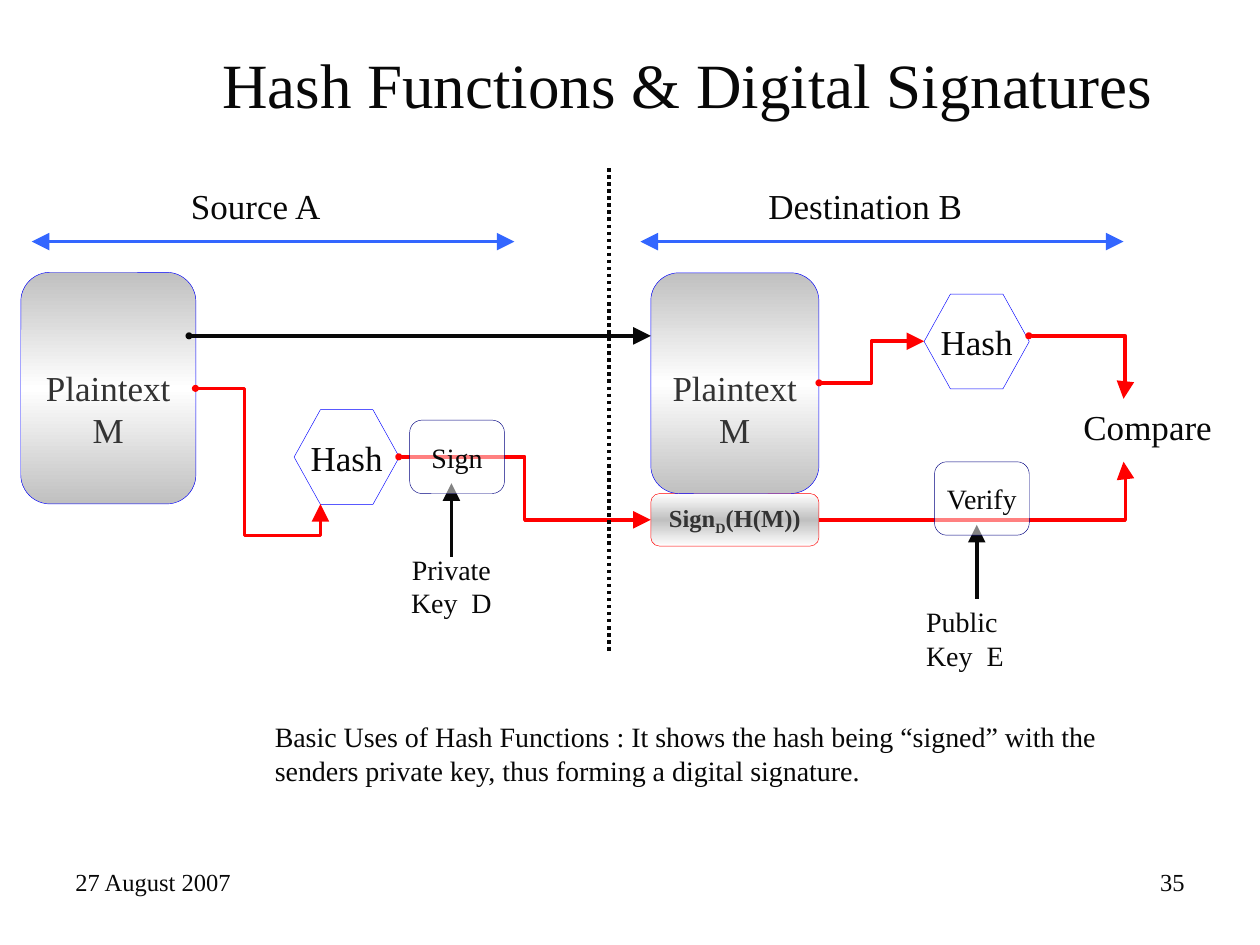
"""Build a slide showing how a hash is signed and verified."""
from copy import deepcopy
from typing import NamedTuple, Optional

from pptx import Presentation
from pptx.dml.color import RGBColor
from pptx.enum.dml import MSO_LINE
from pptx.enum.shapes import MSO_CONNECTOR as Connector, MSO_SHAPE as Preset
from pptx.enum.text import MSO_ANCHOR as Anchor, PP_ALIGN as Align
from pptx.oxml.ns import qn
from pptx.oxml.xmlchemy import OxmlElement
from pptx.util import Cm, Pt

FONT = "Times New Roman"
COLORS = {
    "ink": "080808",
    "dark_gray": "333333",
    "silver": "C0C0C0",
    "white": "FFFFFF",
    "red": "FF0000",
    "blue": "0000FF",
    "navy": "000080",
    "sky": "3366FF",
}


class Label(NamedTuple):
    text: str
    left: float
    top: float
    width: float
    height: float
    size: int
    align: Align = Align.LEFT
    anchor: Anchor = Anchor.TOP


class Node(NamedTuple):
    lines: list
    left: float
    top: float
    width: float
    height: float
    outline: str
    size: int
    preset: Preset = Preset.ROUNDED_RECTANGLE
    adjustment: float = 0.167
    gradient: Optional[tuple] = None
    translucent: bool = False
    anchor: Anchor = Anchor.MIDDLE
    top_inset: float = 0.13
    color: str = "ink"
    bold: bool = False
    wrap: bool = False


class Arrow(NamedTuple):
    start: tuple
    end: tuple
    color: str
    head: Optional[str] = None
    tail: Optional[str] = "triangle"
    bends: tuple = ()
    dotted: bool = False


def plaintext(left: float, top: float, width: float, height: float) -> Node:
    """Describe one plaintext block."""
    return Node(["Plaintext", "M"], left, top, width, height, "blue", 20,
                gradient=("silver", "white"), anchor=Anchor.TOP,
                top_inset=1.73, color="dark_gray", wrap=True)


def hexagon(left: float, top: float) -> Node:
    """Describe one hash step."""
    return Node(["Hash"], left, top, 2.12, 1.91, "blue", 20, Preset.HEXAGON, 0.278)


def key_step(text: str, left: float, top: float) -> Node:
    """Describe one step that uses a key."""
    return Node([text], left, top, 1.91, 1.48, "navy", 16, translucent=True)


BLOCKS = [
    Node([[("Sign", False), ("D", True), ("(H(M))", False)]],
         13.12, 9.95, 3.39, 1.06, "red", 14, gradient=("white", "silver"),
         anchor=Anchor.TOP, color="dark_gray", bold=True, wrap=True),
    plaintext(0.42, 5.49, 3.53, 4.67),
    plaintext(13.12, 5.5, 3.39, 4.45),
    hexagon(5.93, 8.26),
    hexagon(18.63, 5.93),
]
KEY_STEPS = [key_step("Sign", 8.26, 8.47), key_step("Verify", 18.84, 9.31)]
ARROWS = [
    Arrow((0.64, 4.87), (10.37, 4.87), "sky", "triangle"),
    Arrow((12.91, 4.87), (22.65, 4.87), "sky", "triangle"),
    Arrow((3.81, 6.77), (13.12, 6.77), "ink", "oval"),
    Arrow((3.94, 7.83), (6.46, 10.16), "red", "oval", bends=(0.394, 1.272)),
    Arrow((8.04, 9.21), (13.12, 10.48), "red", "oval", bends=(0.5,)),
    Arrow((9.1, 11.22), (9.1, 9.74), "ink"),
    Arrow((16.51, 7.72), (18.63, 6.88), "red", "oval", bends=(0.5,)),
    Arrow((19.69, 12.07), (19.69, 10.58), "ink"),
    Arrow((16.51, 10.48), (22.65, 9.31), "red", bends=(1.006,)),
    Arrow((20.74, 6.77), (22.65, 8.04), "red", "oval", bends=(1.018,)),
    Arrow((12.28, 3.39), (12.28, 13.12), "ink", tail=None, dotted=True),
]
LABELS = [
    Label("Hash Functions & Digital Signatures", 4.23, 0.21, 20.5, 2.96, 36,
          anchor=Anchor.MIDDLE),
    Label("Source A", 3.6, 3.6, 3.39, 1.11, 20),
    Label("Destination B", 15.24, 3.6, 4.66, 1.11, 20),
    Label("Private Key  D", 7.83, 11.01, 2.54, 1.63, 16, Align.CENTER),
    Label("Public Key  E", 18.42, 12.07, 2.54, 1.63, 16),
    Label("Compare", 21.59, 8.04, 3.18, 1.11, 20),
    Label("Basic Uses of Hash Functions : It shows the hash being “signed” with the "
          "senders private key, thus forming a digital signature.",
          5.29, 14.39, 18.2, 1.63, 16),
    Label("27 August 2007", 1.27, 17.36, 5.93, 1.32, 14),
    Label("35", 18.2, 17.36, 5.93, 1.32, 14, Align.RIGHT),
]


def rgb(name: str) -> RGBColor:
    """Look up a colour by name."""
    return RGBColor.from_string(COLORS[name])


def style_paragraph(paragraph, size: int, color: str, align: Align, bold: bool = False) -> None:
    """Set the font and alignment of a paragraph."""
    paragraph.alignment = align
    font = paragraph.font
    font.name, font.size, font.bold = FONT, Pt(size), bold
    font.color.rgb = rgb(color)


def fill_gradient(shape, outer: str, middle: str) -> None:
    """Fill a shape with a vertical gradient mirrored about its middle."""
    shape.fill.gradient()
    shape.fill.gradient_angle = 90
    first, second = shape.fill.gradient_stops
    first.color.rgb, first.position = rgb(outer), 0
    second.color.rgb, second.position = rgb(middle), 0.5
    stop_list = shape._element.spPr.find(".//" + qn("a:gsLst"))
    last = deepcopy(stop_list[0])
    last.set("pos", "100000")
    stop_list.append(last)


def fill_translucent(shape) -> None:
    """Fill a shape with half transparent white."""
    shape.fill.solid()
    shape.fill.fore_color.rgb = rgb("white")
    alpha = OxmlElement("a:alpha")
    alpha.set("val", "50000")
    shape._element.spPr.find(qn("a:solidFill"))[0].append(alpha)


def draw_node(slide, node: Node) -> None:
    """Draw a block of the diagram with its text."""
    shape = slide.shapes.add_shape(node.preset, Cm(node.left), Cm(node.top),
                                   Cm(node.width), Cm(node.height))
    shape.shadow.inherit = False
    shape.adjustments[0] = node.adjustment
    if node.gradient:
        fill_gradient(shape, *node.gradient)
    elif node.translucent:
        fill_translucent(shape)
    else:
        shape.fill.background()
    shape.line.color.rgb = rgb(node.outline)
    shape.line.width = Pt(0.25)
    frame = shape.text_frame
    frame.word_wrap, frame.vertical_anchor = node.wrap, node.anchor
    frame.margin_top = Cm(node.top_inset)
    for index, line in enumerate(node.lines):
        paragraph = frame.add_paragraph() if index else frame.paragraphs[0]
        style_paragraph(paragraph, node.size, node.color, Align.CENTER, node.bold)
        for text, subscript in [(line, False)] if isinstance(line, str) else line:
            run = paragraph.add_run()
            run.text = text
            if subscript:
                run.font._element.set("baseline", "-25000")


def draw_arrow(slide, arrow: Arrow) -> None:
    """Draw a straight or bent connector with its ends."""
    kind = Connector.ELBOW if arrow.bends else Connector.STRAIGHT
    connector = slide.shapes.add_connector(kind, *map(Cm, arrow.start + arrow.end))
    properties = connector._element.spPr
    if arrow.bends:
        geometry = properties.find(qn("a:prstGeom"))
        geometry.set("prst", f"bentConnector{len(arrow.bends) + 2}")
        guides = geometry.get_or_add_avLst()
        for number, bend in enumerate(arrow.bends, 1):
            guide = OxmlElement("a:gd")
            guide.set("name", f"adj{number}")
            guide.set("fmla", f"val {round(bend * 100000)}")
            guides.append(guide)
    connector.line.color.rgb = rgb(arrow.color)
    connector.line.width = Pt(2)
    if arrow.dotted:
        connector.line.dash_style = MSO_LINE.ROUND_DOT
    for tag, end in (("a:headEnd", arrow.head), ("a:tailEnd", arrow.tail)):
        if end:
            element = OxmlElement(tag)
            element.set("type", end)
            for side in ("w", "len"):
                element.set(side, "sm" if end == "oval" else "lg")
            properties.find(qn("a:ln")).append(element)
    properties.append(OxmlElement("a:effectLst"))


def draw_label(slide, label: Label) -> None:
    """Draw a text box."""
    frame = slide.shapes.add_textbox(Cm(label.left), Cm(label.top), Cm(label.width),
                                     Cm(label.height)).text_frame
    frame.word_wrap, frame.vertical_anchor = True, label.anchor
    paragraph = frame.paragraphs[0]
    paragraph.text = label.text
    style_paragraph(paragraph, label.size, "ink", label.align)


def main() -> None:
    """Build and save the presentation."""
    presentation = Presentation()
    presentation.slide_width, presentation.slide_height = Cm(25.4), Cm(19.05)
    slide = presentation.slides.add_slide(presentation.slide_layouts[6])
    for items, draw in ((BLOCKS, draw_node), (ARROWS, draw_arrow),
                        (KEY_STEPS, draw_node), (LABELS, draw_label)):
        for item in items:
            draw(slide, item)
    presentation.save("out.pptx")


if __name__ == "__main__":
    main()
